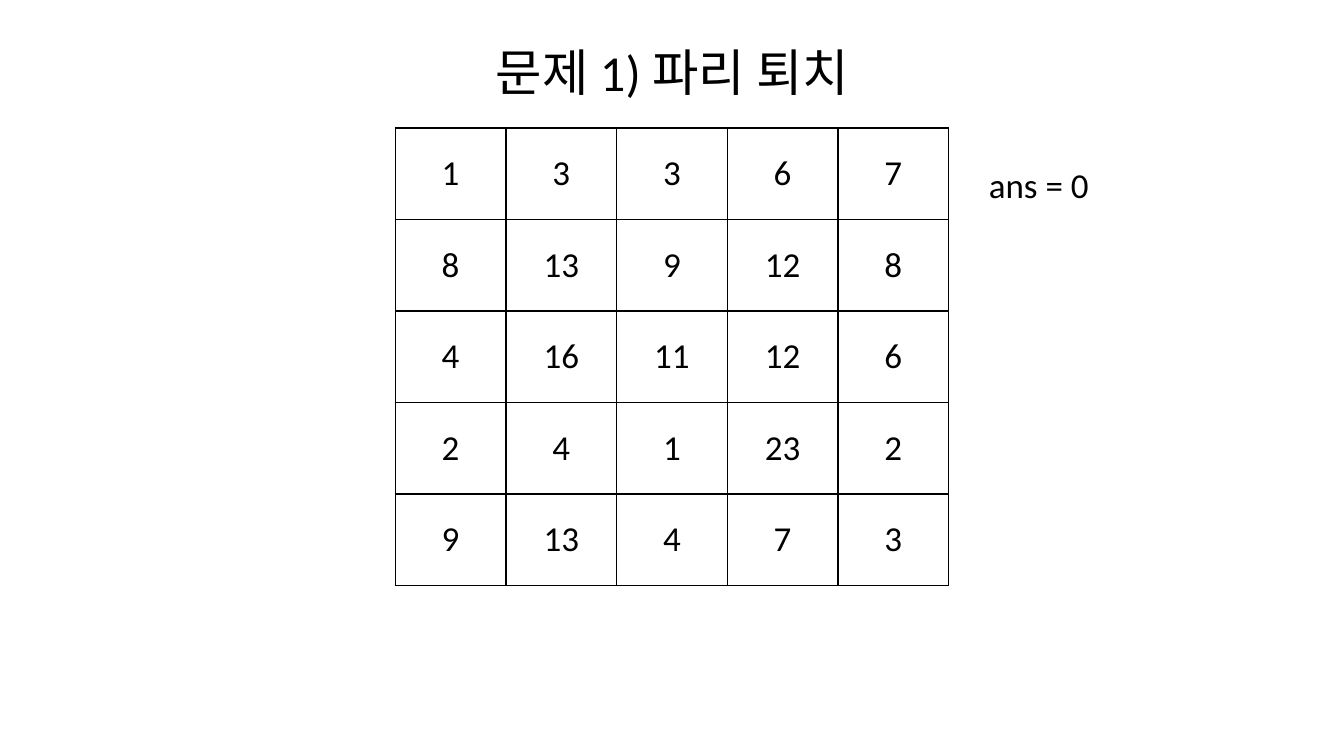
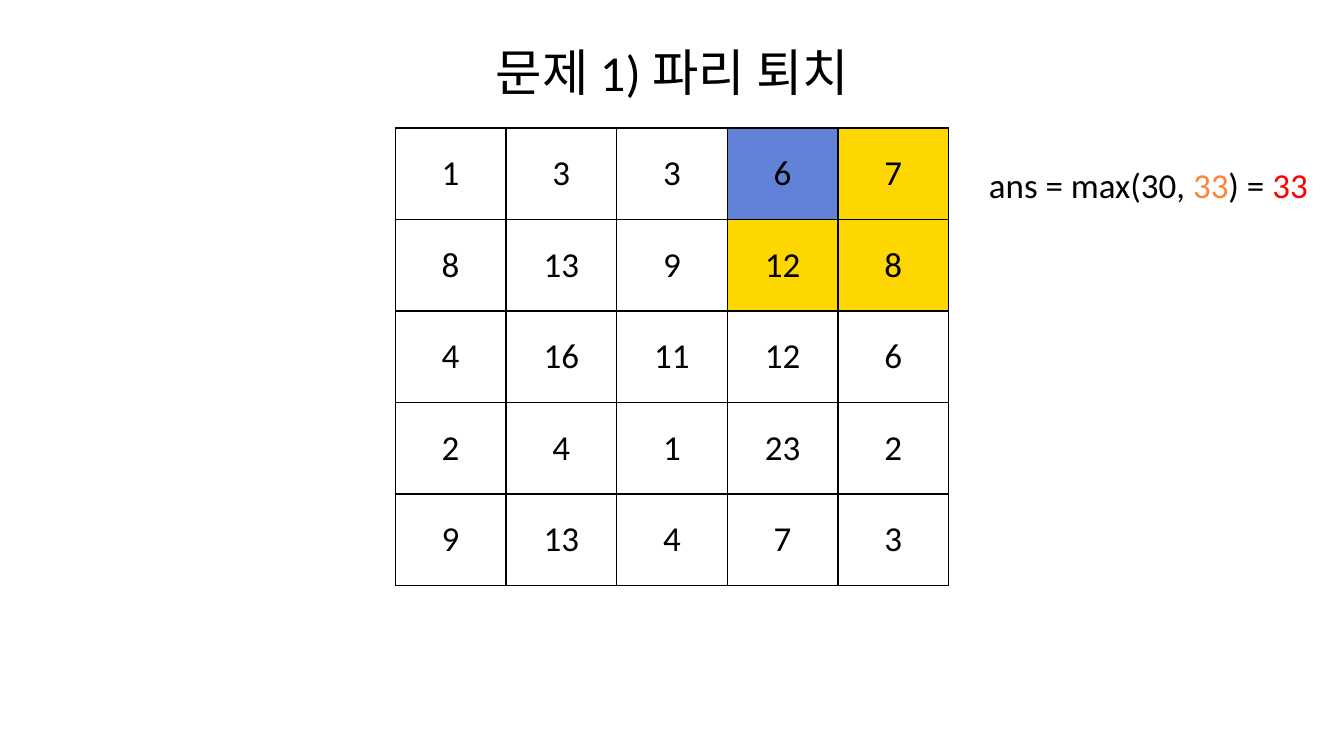
from lxml.etree import SubElement
from pptx import Presentation
from pptx.dml.color import RGBColor
from pptx.enum.text import MSO_ANCHOR, MSO_AUTO_SIZE, PP_ALIGN
from pptx.oxml.ns import qn
from pptx.util import Inches, Pt

COLORS = {
    "text": "000000",
    "paper": "FFFFFF",
    "current": "6182D6",
    "window": "FFD700",
    "candidate": "FF843A",
    "result": "FF0000",
}
TITLE = "문제 1) 파리 퇴치"
FLIES = [
    [1, 3, 3, 6, 7],
    [8, 13, 9, 12, 8],
    [4, 16, 11, 12, 6],
    [2, 4, 1, 23, 2],
    [9, 13, 4, 7, 3],
]


class Deck:
    """Holds the shared style and the current slide."""

    font = "Calibri"
    title_size = 36
    body_size = 25
    border_width = 1

    def __init__(self):
        self.prs = Presentation()
        self.prs.slide_width = Inches(13.33)
        self.prs.slide_height = Inches(7.5)
        self.s = None

    def color(self, name):
        return RGBColor.from_string(COLORS[name])

    def format_run(self, r, size, color="text"):
        r.font.name = self.font
        r.font.size = Pt(size)
        r.font.color.rgb = self.color(color)

    def add_slide(self, title):
        self.s = self.prs.slides.add_slide(self.prs.slide_layouts[5])
        sp = self.s.shapes.title
        sp.left, sp.top = Inches(0.67), Inches(0.4)
        sp.width, sp.height = Inches(12), Inches(0.62)
        tf = sp.text_frame
        tf.text = title
        tf.vertical_anchor = MSO_ANCHOR.MIDDLE
        p = tf.paragraphs[0]
        p.alignment = PP_ALIGN.CENTER
        self.format_run(p.runs[0], self.title_size)

    def add_borders(self, cell):
        tc_pr = cell._tc.get_or_add_tcPr()
        for side in ("lnL", "lnR", "lnT", "lnB"):
            ln = SubElement(tc_pr, qn(f"a:{side}"), w=str(Pt(self.border_width)))
            fill = SubElement(ln, qn("a:solidFill"))
            SubElement(fill, qn("a:srgbClr"), val=COLORS["text"])

    def add_grid(self, values, marks):
        table = self.s.shapes.add_table(
            len(values), len(values[0]),
            Inches(3.92), Inches(1.27), Inches(5.49), Inches(4.54),
        ).table
        table.first_row = False
        table.horz_banding = False
        for i, row in enumerate(values):
            for j, value in enumerate(row):
                cell = table.cell(i, j)
                self.add_borders(cell)
                cell.fill.solid()
                cell.fill.fore_color.rgb = self.color(marks.get((i, j), "paper"))
                cell.vertical_anchor = MSO_ANCHOR.MIDDLE
                cell.text_frame.text = str(value)
                p = cell.text_frame.paragraphs[0]
                p.alignment = PP_ALIGN.CENTER
                self.format_run(p.runs[0], self.body_size)

    def add_answer(self, parts, width):
        sp = self.s.shapes.add_textbox(
            Inches(9.71), Inches(1.57), Inches(width), Inches(0.51)
        )
        tf = sp.text_frame
        tf.word_wrap = True
        tf.auto_size = MSO_AUTO_SIZE.SHAPE_TO_FIT_TEXT
        for text, color in parts:
            r = tf.paragraphs[0].add_run()
            r.text = text
            self.format_run(r, self.body_size, color)


def main():
    deck = Deck()
    steps = [
        ({}, [("ans = 0", "text")], 2.37),
        (
            {(0, 3): "current", (0, 4): "window",
             (1, 3): "window", (1, 4): "window"},
            [("ans = max(30, ", "text"), ("33", "candidate"),
             (") = ", "text"), ("33", "result")],
            3.48,
        ),
    ]
    for marks, answer, width in steps:
        deck.add_slide(TITLE)
        deck.add_grid(FLIES, marks)
        deck.add_answer(answer, width)
    deck.prs.save("out.pptx")


if __name__ == "__main__":
    main()
